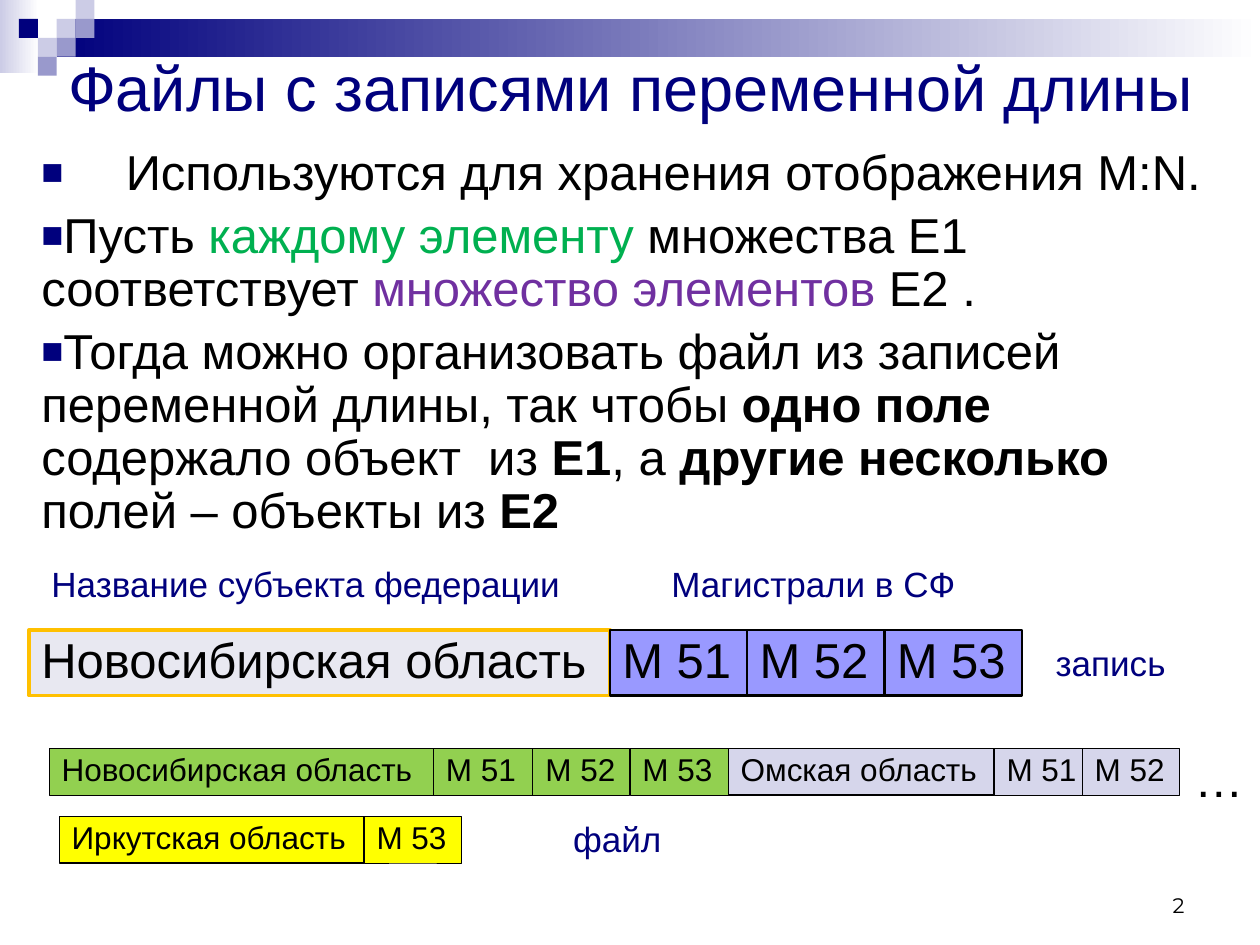
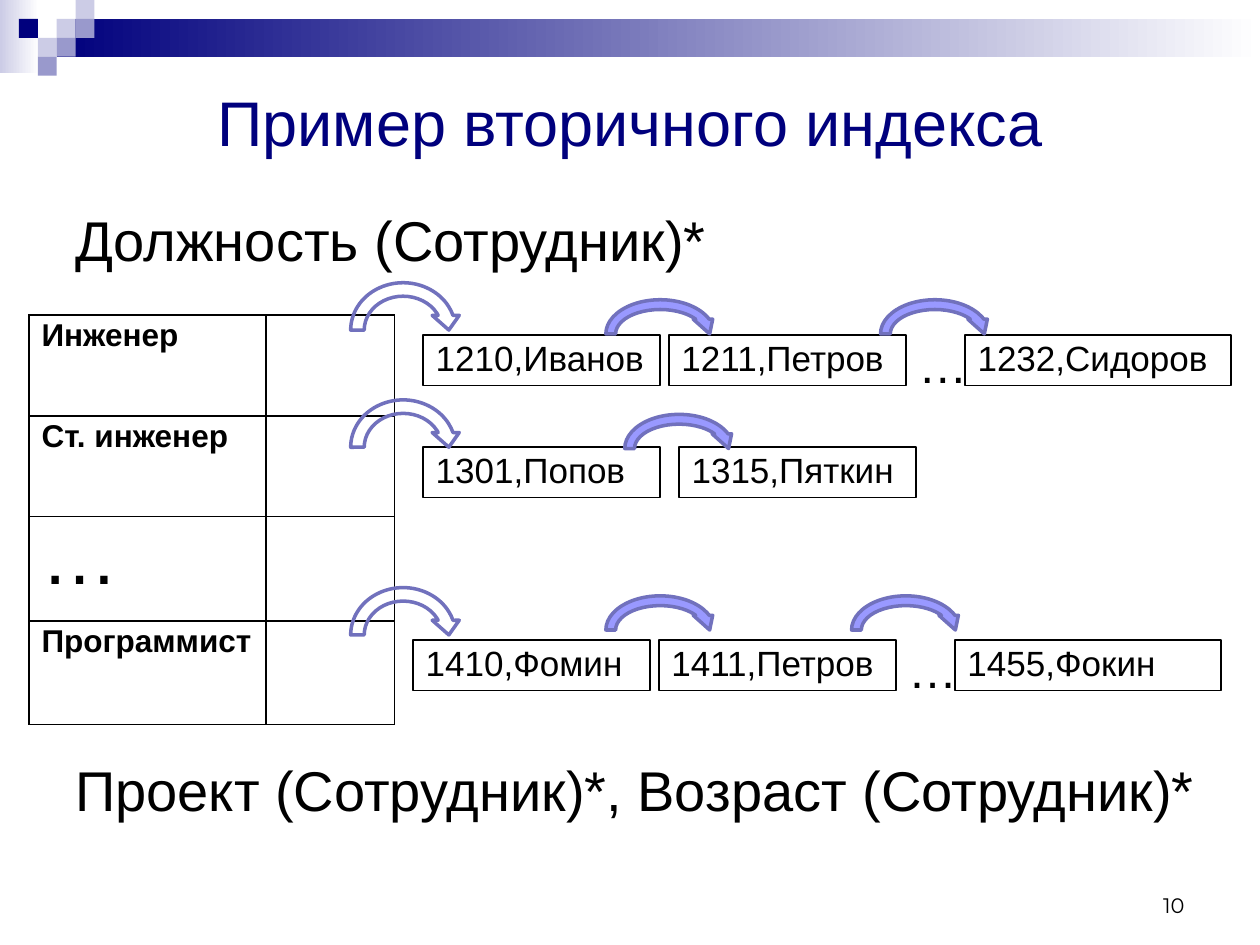
import pptx
import pptx.util
from lxml import etree
from pptx.dml.color import RGBColor
from pptx.enum.shapes import MSO_SHAPE
from pptx.enum.text import MSO_ANCHOR, MSO_AUTO_SIZE, PP_ALIGN
from pptx.oxml.ns import qn
from pptx.util import Inches

NAVY = RGBColor(0x00, 0x00, 0x7D)
LILAC = RGBColor(0xCC, 0xCC, 0xE6)
SLATE = RGBColor(0x99, 0x99, 0xCC)
BLACK = RGBColor(0x00, 0x00, 0x00)
WHITE = RGBColor(0xFF, 0xFF, 0xFF)
GREEN = RGBColor(0x00, 0xB0, 0x50)
PURPLE = RGBColor(0x70, 0x30, 0xA0)
AMBER = RGBColor(0xFF, 0xC0, 0x00)
MIST = RGBColor(0xE8, 0xE8, 0xF1)
VIOLET = RGBColor(0x99, 0x99, 0xFF)
ARROW_EDGE = RGBColor(0x71, 0x71, 0xBD)
LIME = RGBColor(0x92, 0xD0, 0x50)
PALE = RGBColor(0xD6, 0xD6, 0xEB)
YELLOW = RGBColor(0xFF, 0xFF, 0x00)
FONT = "Arial"
NUMBER_FONT = "Montserrat"


def box(left, top, width, height):
    return [Inches(v) for v in (left, top, width, height)]


def style(font, size, color=BLACK, bold=False, name=FONT):
    font.name, font.size, font.bold = name, pptx.util.Pt(size), bold
    font.color.rgb = color


def add_shape(s, kind, at, fill=None, line=None, weight=1):
    sp = s.shapes.add_shape(kind, *box(*at))
    sp.shadow.inherit = False
    if fill is None:
        sp.fill.background()
    else:
        sp.fill.solid()
        sp.fill.fore_color.rgb = fill
    if line is None:
        sp.line.fill.background()
    else:
        sp.line.color.rgb = line
        sp.line.width = pptx.util.Pt(weight)
    return sp


def write(sp, text, size, color=BLACK, spacing=0.9):
    tf = sp.text_frame
    tf.word_wrap = True
    tf.margin_right = 0
    tf.vertical_anchor = MSO_ANCHOR.MIDDLE
    tf.text = text
    p = tf.paragraphs[0]
    p.alignment = PP_ALIGN.LEFT
    p.line_spacing = spacing
    style(p.runs[0].font, size, color)


def add_text(s, at, text, size, color=BLACK, spacing=0.9):
    write(s.shapes.add_textbox(*box(*at)), text, size, color, spacing)


def add_cell(s, at, text, size, fill=None, line=BLACK, weight=1):
    write(add_shape(s, MSO_SHAPE.RECTANGLE, at, fill, line, weight), text, size)


def add_band(s, at, start):
    sp = add_shape(s, MSO_SHAPE.RECTANGLE, at)
    sp.fill.gradient()
    sp.fill.gradient_angle = 0
    for stop, color in zip(sp.fill.gradient_stops, (start, WHITE)):
        stop.color.rgb = color


def add_base_slide(prs, title, title_box, number):
    s = prs.slides.add_slide(prs.slide_layouts[5])
    # Top bands and the mosaic of squares
    add_band(s, (0, 0, 0.31, 0.58), LILAC)
    add_band(s, (0.45, 0.15, 9.55, 0.3), NAVY)
    unit = 0.15
    for col, row, color in [(3, 1, LILAC), (4, 0, LILAC), (4, 1, SLATE), (2, 2, LILAC),
                            (1, 1, NAVY), (3, 2, SLATE), (2, 3, SLATE)]:
        add_shape(s, MSO_SHAPE.RECTANGLE, (col * unit, row * unit, unit, unit), color)
    # Title
    sp = s.shapes.title
    sp.left, sp.top, sp.width, sp.height = box(*title_box)
    tf = sp.text_frame
    tf.text = title
    tf.auto_size = MSO_AUTO_SIZE.NONE
    tf.vertical_anchor = MSO_ANCHOR.MIDDLE
    tf.paragraphs[0].alignment = PP_ALIGN.CENTER
    style(tf.paragraphs[0].runs[0].font, 36, NAVY)
    # Slide number
    tf = s.shapes.add_textbox(*box(7.17, 6.83, 2.33, 0.5)).text_frame
    tf.text = number
    tf.vertical_anchor = MSO_ANCHOR.BOTTOM
    tf.paragraphs[0].alignment = PP_ALIGN.RIGHT
    style(tf.paragraphs[0].runs[0].font, 12, name=NUMBER_FONT)
    return s


def add_bullet(p, left):
    pPr = p._p.get_or_add_pPr()
    pPr.set("marL", str(Inches(left)))
    pPr.set("indent", str(Inches(-0.67)))
    color = etree.SubElement(pPr, qn("a:buClr"))
    etree.SubElement(color, qn("a:srgbClr")).set("val", str(NAVY))
    etree.SubElement(pPr, qn("a:buSzPct")).set("val", "75000")
    etree.SubElement(pPr, qn("a:buFont")).set("typeface", FONT)
    etree.SubElement(pPr, qn("a:buChar")).set("char", "■")


def add_bullets(s, at, paragraphs):
    """Each paragraph is a left indent and its (text, colour, bold) runs."""
    tf = s.shapes.add_textbox(*box(*at)).text_frame
    tf.word_wrap = True
    for i, (left, runs) in enumerate(paragraphs):
        p = tf.add_paragraph() if i else tf.paragraphs[0]
        add_bullet(p, left)
        p.line_spacing = 0.9
        if i:
            p.space_before = pptx.util.Pt(5.6)
        for text, color, bold in runs:
            r = p.add_run()
            r.text = text
            style(r.font, 28, color, bold)


def add_record(s, left, top, height, size, fields, fill, weight):
    """Adjoining fields, each a text and a width."""
    for text, width in fields:
        add_cell(s, (left, top, width, height), text, size, fill, BLACK, weight)
        left += width


def records_slide(prs):
    s = add_base_slide(prs, "Файлы с записями переменной длины", (0.22, 0.23, 9.57, 0.91), "2")
    add_bullets(s, (0.23, 1.13, 9.53, 3.3), [
        (0.67, [("Используются для хранения отображения M:N.", BLACK, False)]),
        (0, [("Пусть ", BLACK, False), ("каждому элементу ", GREEN, False),
             ("множества Е1 соответствует ", BLACK, False),
             ("множество элементов ", PURPLE, False), ("Е2 .", BLACK, False)]),
        (0, [("Тогда можно организовать файл из записей переменной длины, так чтобы ", BLACK, False),
             ("одно поле ", BLACK, True), ("содержало объект  из ", BLACK, False),
             ("Е1", BLACK, True), (", а ", BLACK, False), ("другие несколько ", BLACK, True),
             ("полей – объекты из ", BLACK, False), ("Е2", BLACK, True)]),
    ])
    # Captions
    for left, top, width, text in [(0.31, 4.45, 4.38, "Название субъекта федерации"),
                                   (5.23, 4.45, 2.5, "Магистрали в СФ"),
                                   (8.28, 5.08, 1.48, "запись"), (4.45, 6.48, 1.48, "файл")]:
        add_text(s, (left, top, width, 0.4), text, 20, NAVY)
    # One record
    add_cell(s, (0.23, 5, 4.61, 0.52), "Новосибирская область", 28, MIST, AMBER, 2.25)
    add_record(s, 4.84, 5, 0.52, 28, [(f"М {n}", 1.09) for n in (51, 52, 53)], VIOLET, 1.5)
    # File of records
    for left, top, fields, fill, name_weight in [
        (0.39, 5.94, [("Новосибирская область", 3.05), ("М 51", 0.79), ("М 52", 0.77),
                      ("М 53", 0.78)], LIME, 0.5),
        (5.78, 5.94, [("Омская область", 2.11), ("М 51", 0.7), ("М 52", 0.77)], PALE, 0.75),
        (0.47, 6.48, [("Иркутская область", 2.42), ("М 53", 0.77)], YELLOW, 0.75),
    ]:
        add_record(s, left + fields[0][1], top, 0.37, 18, fields[1:], fill, 0.5)
        add_record(s, left, top, 0.37, 18, fields[:1], fill, name_weight)
    add_text(s, (9.38, 5.94, 0.62, 0.52), "…", 28)


def set_borders(cell):
    tcPr = cell._tc.get_or_add_tcPr()
    for i, side in enumerate(("lnL", "lnR", "lnT", "lnB")):
        ln = etree.Element(qn(f"a:{side}"), w=str(pptx.util.Pt(1)))
        fill = etree.SubElement(ln, qn("a:solidFill"))
        etree.SubElement(fill, qn("a:srgbClr")).set("val", str(BLACK))
        tcPr.insert(i, ln)


def add_index_table(s, at, positions):
    table = s.shapes.add_table(len(positions), 2, *box(*at)).table
    table.first_row = table.horz_banding = False
    for column, width in zip(table.columns, (1.88, 1.02)):
        column.width = Inches(width)
    for row, height, text in zip(table.rows, (0.8, 0.8, 0.83, 0.82), positions):
        row.height = Inches(height)
        for cell in row.cells:
            cell.fill.background()
            set_borders(cell)
        cell = row.cells[0]
        cell.text = text
        p = cell.text_frame.paragraphs[0]
        p.line_spacing = 0.9
        dots = text == "…"
        style(p.runs[0].font, 44 if dots else 18, bold=not dots)


def add_chain(s, top, employees, dots, first_arrow_top, arrow_top, arrows):
    """Linked employee boxes in a row, with curved arrows above them."""
    for left, width, text in employees:
        add_cell(s, (left, top, width, 0.4), text, 20)
    if dots:
        add_text(s, (dots, top, 0.55, 0.52), "…", 28)
    add_shape(s, MSO_SHAPE.CIRCULAR_ARROW, (2.73, first_arrow_top, 0.94, 0.86), None, ARROW_EDGE, 2)
    for left in arrows:
        add_shape(s, MSO_SHAPE.CIRCULAR_ARROW, (left, arrow_top, 0.94, 0.62), VIOLET, ARROW_EDGE, 2)


def index_slide(prs):
    s = add_base_slide(prs, "Пример вторичного индекса", (0.5, 0.55, 9, 0.83), "10")
    # Index formulas above and below the table
    for top, text in [(1.6, "Должность (Сотрудник)*"),
                      (5.96, "Проект (Сотрудник)*, Возраст (Сотрудник)*")]:
        add_text(s, (0.5, top, 9.5, 0.6), text, 32, spacing=1)
    add_index_table(s, (0.23, 2.5, 2.9, 3.25), ["Инженер", "Ст. инженер", "…", "Программист"])
    # Employee chains
    add_chain(s, 2.66, [(3.36, 1.88, "1210,Иванов"), (5.31, 1.88, "1211,Петров"),
                        (7.66, 2.11, "1232,Сидоров")], 7.19, 2.19, 2.34, (4.77, 6.95))
    add_chain(s, 3.55, [(3.36, 1.88, "1301,Попов"), (5.39, 1.88, "1315,Пяткин")],
              None, 3.12, 3.25, (4.92,))
    add_chain(s, 5.08, [(3.28, 1.88, "1410,Фомин"), (5.23, 1.88, "1411,Петров"),
                        (7.58, 2.11, "1455,Фокин")], 7.11, 4.61, 4.69, (4.77, 6.72))


def main():
    prs = pptx.Presentation()
    prs.slide_width, prs.slide_height = Inches(10), Inches(7.5)
    records_slide(prs)
    index_slide(prs)
    prs.save("out.pptx")


if __name__ == "__main__":
    main()
